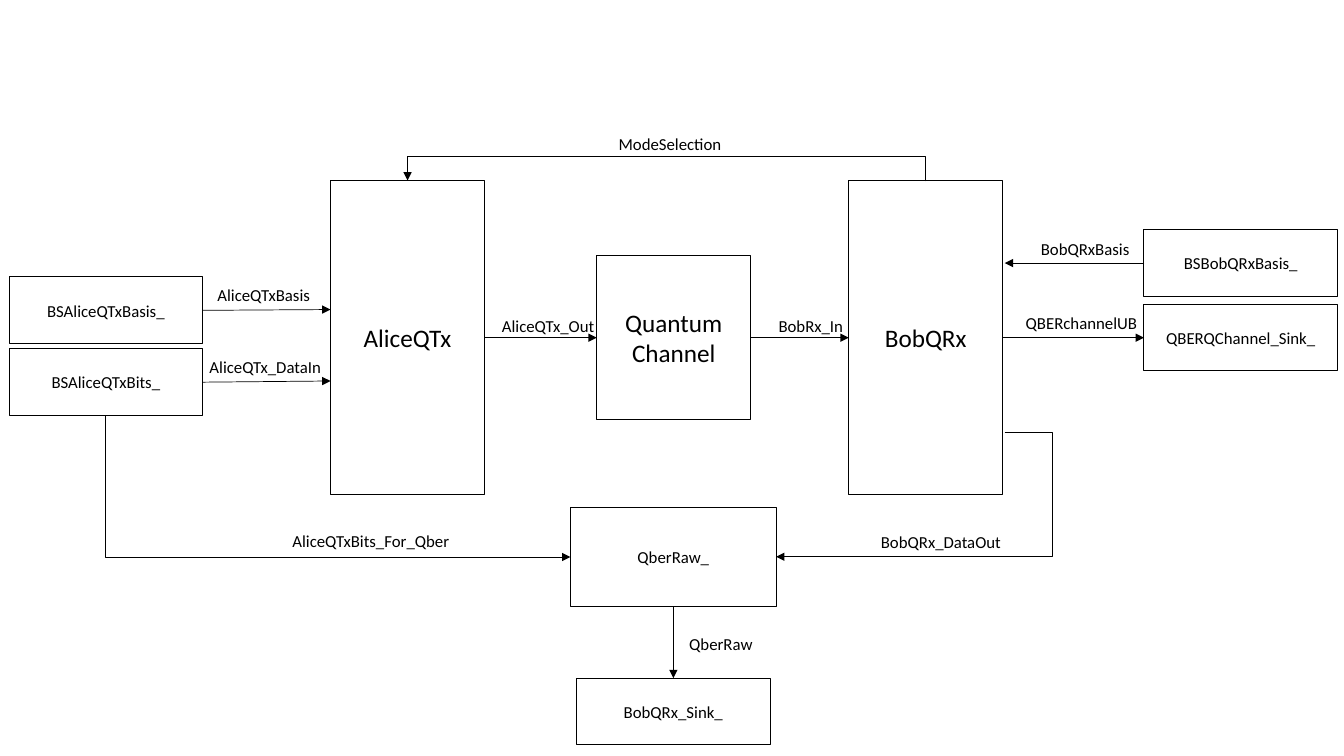
from pptx import Presentation
from pptx.dml.color import RGBColor
from pptx.enum.shapes import MSO_CONNECTOR as Link, MSO_SHAPE as Shape
from pptx.enum.text import MSO_ANCHOR as Anchor, MSO_AUTO_SIZE as AutoSize, PP_ALIGN as Align
from pptx.oxml.ns import qn
from pptx.util import Cm, Pt
from lxml import etree

BLACK = RGBColor(0, 0, 0)
TOP, LEFT, BOTTOM, RIGHT = range(4)

deck = Presentation()
deck.slide_width, deck.slide_height = Cm(33.87), Cm(19.05)
slide = deck.slides.add_slide(deck.slide_layouts[6])


def write(frame, text, size, align):
    frame.word_wrap = True
    paragraph = frame.paragraphs[0]
    paragraph.text = text
    paragraph.alignment = align
    paragraph.font.name = "Calibri"
    paragraph.font.size = Pt(size)
    paragraph.font.color.rgb = BLACK


def add_arrow(kind, *ends):
    arrow = slide.shapes.add_connector(kind, *map(Cm, ends))
    arrow.line.color.rgb = BLACK
    arrow.line.width = Pt(0.5)
    etree.SubElement(arrow.line._get_or_add_ln(), qn("a:tailEnd"), type="triangle")
    etree.SubElement(arrow._element.spPr, qn("a:effectLst"))
    return arrow


MODULE = (3.88, 7.92)
CHANNEL = (3.88, 4.14)
PORT = (4.88, 1.68)
COUNTER = (5.18, 2.5)

blocks = {}
for name, left, top, extent, size in [
    ("Quantum Channel", 15.04, 6.44, CHANNEL, 18),
    ("BobQRx", 21.39, 4.55, MODULE, 18),
    ("AliceQTx", 8.33, 4.55, MODULE, 18),
    ("BSAliceQTxBits_", 0.23, 8.79, PORT, 12),
    ("BSAliceQTxBasis_", 0.23, 6.98, PORT, 12),
    ("BSBobQRxBasis_", 28.83, 5.79, PORT, 12),
    ("QBERQChannel_Sink_", 28.83, 7.67, PORT, 12),
    ("QberRaw_", 14.38, 12.78, COUNTER, 12),
    ("BobQRx_Sink_", 14.53, 17.09, PORT, 12),
]:
    block = slide.shapes.add_shape(Shape.RECTANGLE, *map(Cm, (left, top, *extent)))
    block.shadow.inherit = False
    block.fill.background()
    block.line.color.rgb = BLACK
    block.line.width = Pt(0.75)
    block.text_frame.vertical_anchor = Anchor.MIDDLE
    write(block.text_frame, name, size, Align.CENTER)
    blocks[name] = block

for source, exit_side, target, entry_side in [
    ("AliceQTx", RIGHT, "Quantum Channel", LEFT),
    ("Quantum Channel", RIGHT, "BobQRx", LEFT),
    ("BobQRx", RIGHT, "QBERQChannel_Sink_", LEFT),
    ("QberRaw_", BOTTOM, "BobQRx_Sink_", TOP),
]:
    signal = add_arrow(Link.STRAIGHT, 0, 0, 0, 0)
    signal.begin_connect(blocks[source], exit_side)
    signal.end_connect(blocks[target], entry_side)

for ends in [
    (5.11, 7.82, 8.33, 7.8),
    (5.11, 9.63, 8.33, 9.6),
    (28.83, 6.63, 25.32, 6.63),
]:
    add_arrow(Link.STRAIGHT, *ends)

mode_selection = add_arrow(Link.ELBOW, 16.79, -1.97, 16.81, 11.09)
data_out = add_arrow(Link.ELBOW, 25.32, 10.9, 19.56, 14.03)
bits_for_qber = add_arrow(Link.ELBOW, 6.74, 6.4, 10.3, 18.11)

for bend, flip in [(mode_selection, "flipV"), (bits_for_qber, "flipH")]:
    frame = bend._element.spPr.find(qn("a:xfrm"))
    frame.set("rot", str(270 * 60000))
    frame.set(flip, "1")

for bend, ratio in [(mode_selection, 31), (data_out, -0.207)]:
    guides = bend._element.spPr.find(qn("a:prstGeom")).get_or_add_avLst()
    etree.SubElement(guides, qn("a:gd"), name="adj1", fmla=f"val {round(ratio * 100000)}")

bits_for_qber._element.spPr.find(qn("a:prstGeom")).set("prst", "bentConnector2")

for signal_name, left, top, width in [
    ("AliceQTxBasis", 5.23, 7.06, 3.38),
    ("AliceQTx_DataIn", 5.03, 8.86, 3.63),
    ("AliceQTx_Out", 12.4, 7.82, 2.95),
    ("BobRx_In", 19.37, 7.82, 2.84),
    ("BobQRxBasis", 25.98, 5.9, 2.9),
    ("ModeSelection", 15.34, 3.25, 3.2),
    ("BobQRx_DataOut", 21.95, 13.28, 5.31),
    ("QBERchannelUB", 25.6, 7.75, 3.48),
    ("AliceQTxBits_For_Qber", 7.12, 13.26, 5.31),
    ("QberRaw", 17.12, 15.85, 5.31),
]:
    label = slide.shapes.add_textbox(*map(Cm, (left, top, width, 0.76)))
    label.text_frame.auto_size = AutoSize.SHAPE_TO_FIT_TEXT
    write(label.text_frame, signal_name, 12, Align.LEFT)

deck.save("out.pptx")
